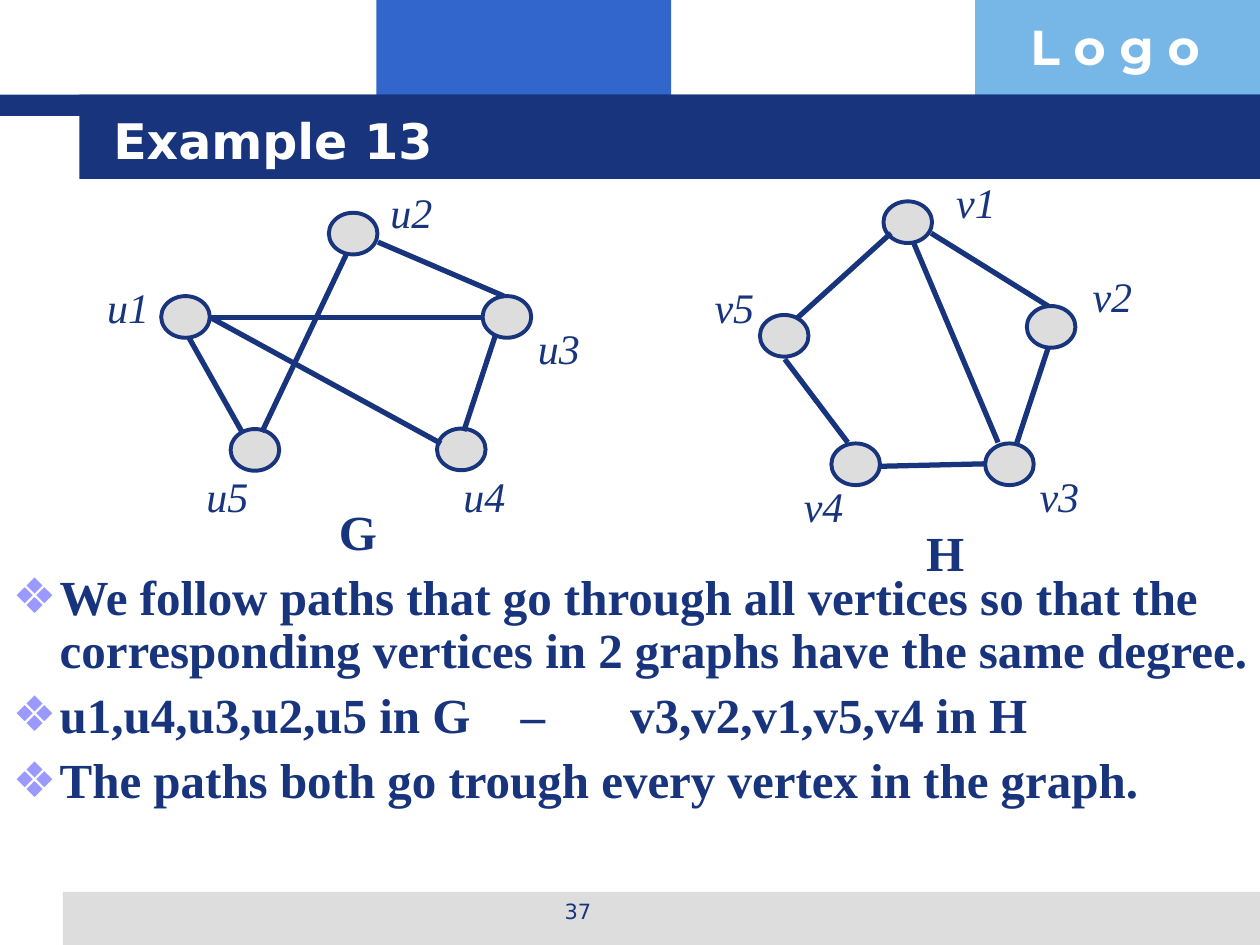
"""Build the slide that compares paths in two graphs, G and H."""
from lxml.etree import SubElement
from pptx import Presentation
from pptx.dml.color import RGBColor
from pptx.enum.shapes import MSO_CONNECTOR as Connector, MSO_SHAPE as Preset
from pptx.enum.text import MSO_ANCHOR as Anchor, MSO_AUTO_SIZE as AutoSize, PP_ALIGN as Align
from pptx.oxml.ns import qn
from pptx.util import Cm, Pt

NAVY = RGBColor(0x17, 0x34, 0x7D)
BLUE = RGBColor(0x33, 0x66, 0xCC)
SKY = RGBColor(0x77, 0xB7, 0xE7)
GRAY = RGBColor(0xDD, 0xDD, 0xDD)
LILAC = RGBColor(0x99, 0x99, 0xFF)
WHITE = RGBColor(0xFF, 0xFF, 0xFF)
SANS, SERIF, LOGO_FONT = "DejaVu Sans", "Times New Roman", "Montserrat"

BANDS = [
    (7.59, 0, 5.94, 2.34, BLUE),
    (19.66, 0, 5.74, 2.34, SKY),
    (1.27, 17.98, 24.13, 1.07, GRAY),
    (0, 1.91, 25.4, 0.43, NAVY),
    (1.6, 1.91, 23.8, 1.7, NAVY),
]
NODE_SIZE = (0.98, 0.84)
LABEL_SIZE = (1.35, 1.27)
NAME_SIZE = (1.27, 1.45)
GRAPHS = [
    {
        "name": ("G", 6.58, 9.98),
        "nodes": {
            "u1": ((3.25, 5.97), (1.91, 5.54)),
            "u2": ((6.63, 4.29), (7.62, 3.63)),
            "u3": ((9.73, 5.97), (10.59, 6.38)),
            "u4": ((8.81, 8.64), (9.09, 9.35)),
            "u5": ((4.65, 8.65), (3.91, 9.35)),
        },
        "edges": [
            (5.28, 8.71, 6.99, 5.11),
            (10.16, 5.97, 7.62, 4.88),
            (4.88, 8.71, 3.81, 6.81),
            (9.35, 8.69, 9.98, 6.78),
            (8.89, 8.94, 4.24, 6.4),
            (4.24, 6.4, 9.73, 6.4),
        ],
    },
    {
        "name": ("H", 18.42, 10.41),
        "nodes": {
            "v1": ((17.81, 4.06), (19, 3.43)),
            "v2": ((20.7, 6.17), (21.75, 5.33)),
            "v3": ((19.86, 8.94), (20.68, 9.35)),
            "v4": ((16.76, 8.94), (15.93, 9.55)),
            "v5": ((15.32, 6.35), (14.13, 5.54)),
        },
        "edges": [
            (16.05, 6.43, 17.96, 4.7),
            (21.13, 6.17, 18.77, 4.7),
            (17.09, 8.92, 15.82, 7.24),
            (17.73, 9.4, 19.86, 9.35),
            (20.5, 8.92, 21.13, 7.01),
            (20.12, 8.92, 18.42, 4.9),
        ],
    },
]
STATEMENTS = [
    "We follow paths that go through all vertices so that the "
    "corresponding vertices in 2 graphs have the same degree.",
    "u1,u4,u3,u2,u5 in G\t–\tv3,v2,v1,v5,v4 in H",
    "The paths both go trough every vertex in the graph.",
]
TAB_STOPS = (10.24, 12.45)


class SlideBuilder:
    """Hold the current slide and draw its elements in one style."""

    def __init__(self, slide):
        self.slide = slide
        self.shapes = slide.shapes

    def run(self, paragraph, text, size, font=SERIF, color=NAVY, bold=False, italic=False):
        run = paragraph.add_run()
        run.text = text
        run.font.size, run.font.name = Pt(size), font
        run.font.bold, run.font.italic = bold, italic
        run.font.color.rgb = color

    def filled(self, preset, box, color, line_width=0):
        shape = self.shapes.add_shape(preset, *map(Cm, box))
        shape.shadow.inherit = False
        shape.fill.solid()
        shape.fill.fore_color.rgb = color
        if line_width:
            shape.line.color.rgb = NAVY
            shape.line.width = Pt(line_width)
        else:
            shape.line.fill.background()

    def edge(self, points):
        line = self.shapes.add_connector(Connector.STRAIGHT, *map(Cm, points))
        line.line.color.rgb = NAVY
        line.line.width = Pt(3)
        SubElement(line._element.spPr, qn("a:effectLst"))

    def text(self, text, box, size, align=Align.LEFT, anchor=Anchor.TOP, wrap=False, **style):
        frame = self.shapes.add_textbox(*map(Cm, box)).text_frame
        frame.word_wrap = wrap
        frame.vertical_anchor = anchor
        paragraph = frame.paragraphs[0]
        paragraph.alignment = align
        self.run(paragraph, text, size, **style)

    def placeholder(self, index, box, anchor):
        shape = self.slide.placeholders[index]
        shape.left, shape.top, shape.width, shape.height = map(Cm, box)
        self.shapes._spTree.append(shape._element)
        frame = shape.text_frame
        frame.auto_size = AutoSize.NONE
        frame.vertical_anchor = anchor
        return frame

    def title(self, text, box):
        paragraph = self.placeholder(0, box, Anchor.MIDDLE).paragraphs[0]
        paragraph.alignment = Align.LEFT
        self.run(paragraph, text, 28, SANS, WHITE, bold=True)

    def bullets(self, items, box):
        frame = self.placeholder(1, box, Anchor.TOP)
        frame.margin_right = 0
        for index, item in enumerate(items):
            paragraph = frame.add_paragraph() if index else frame.paragraphs[0]
            properties = paragraph._p.get_or_add_pPr()
            properties.set("marL", str(Cm(0.95)))
            properties.set("indent", str(-Cm(0.95)))
            color = SubElement(properties, qn("a:buClr"))
            SubElement(color, qn("a:srgbClr"), val=str(LILAC))
            SubElement(properties, qn("a:buChar"), char="❖")
            if "\t" in item:
                tabs = SubElement(properties, qn("a:tabLst"))
                for stop in TAB_STOPS:
                    SubElement(tabs, qn("a:tab"), pos=str(Cm(stop)), algn="l")
            paragraph.line_spacing = 0.9
            paragraph.space_before = Pt(7 if index else 0)
            self.run(paragraph, item, 28, bold=True)

    def graph(self, name, nodes, edges):
        for label, (node, label_place) in nodes.items():
            self.filled(Preset.OVAL, node + NODE_SIZE, GRAY, 2.25)
            self.text(label, label_place + LABEL_SIZE, 24, Align.CENTER, Anchor.MIDDLE, italic=True)
        for points in edges:
            self.edge(points)
        self.text(name[0], name[1:] + NAME_SIZE, 28, bold=True)


def main():
    presentation = Presentation()
    presentation.slide_width, presentation.slide_height = Cm(25.4), Cm(19.05)
    builder = SlideBuilder(presentation.slides.add_slide(presentation.slide_layouts[1]))
    for *box, color in BANDS:
        builder.filled(Preset.RECTANGLE, box, color)
    builder.text("L o g o", (20.52, 0.2, 4.9, 1.45), 28, wrap=True,
                 font=LOGO_FONT, color=WHITE, bold=True)
    builder.text("37", (8.69, 17.98, 5.92, 0.89), 12, Align.CENTER, wrap=True, font=SANS)
    builder.title("Example 13", (2.03, 2.03, 21.67, 1.57))
    builder.bullets(STATEMENTS, (0, 11.43, 25.4, 6.35))
    for graph in GRAPHS:
        builder.graph(**graph)
    presentation.save("out.pptx")


if __name__ == "__main__":
    main()
